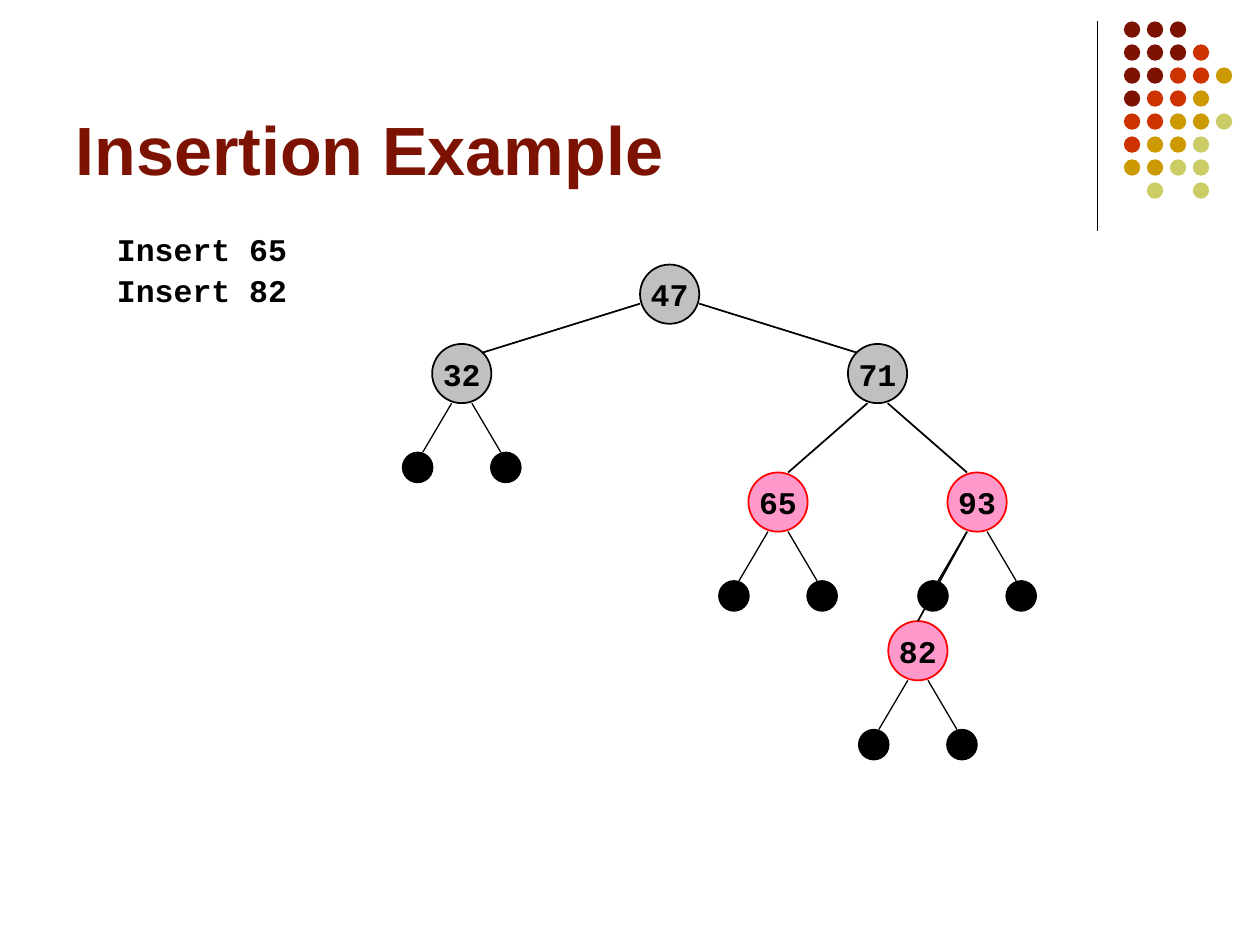
from pptx import Presentation
from pptx.dml.color import RGBColor as RGB
from pptx.enum.shapes import MSO_CONNECTOR as LINK, MSO_SHAPE as SHAPE
from pptx.enum.text import MSO_ANCHOR as ANCHOR, PP_ALIGN as ALIGN
from pptx.util import Inches, Pt
from lxml.etree import SubElement
from pptx.oxml.ns import qn

BLACK = RGB(0, 0, 0)
WHITE = RGB(255, 255, 255)
GRAY = RGB(0xC0, 0xC0, 0xC0)
PINK = RGB(0xFF, 0x99, 0xCC)
RED = RGB(0xFF, 0, 0)
MAROON = RGB(0x7C, 0x13, 0x02)
RUST = RGB(0xCC, 0x33, 0)
GOLD = RGB(0xCC, 0x99, 0)
LIME = RGB(0xCC, 0xCC, 0x66)

TITLE = "Insertion Example"
STEPS = ["Insert 65", "Insert 82"]
DOTS = ["MMM", "MMMR", "MMRRG", "MRRG", "RRGGL", "RGGL", "GGLL", " L L"]
HUES = {"M": MAROON, "R": RUST, "G": GOLD, "L": LIME}
NODES = {
    "47": (5.08, 2.1, GRAY, BLACK),
    "71": (6.73, 2.73, GRAY, BLACK),
    "32": (3.43, 2.73, GRAY, BLACK),
    "65": (5.94, 3.75, PINK, RED),
    "93": (7.52, 3.75, PINK, RED),
    "82": (7.05, 4.93, PINK, RED),
}
ROOT = "47"
KIDS = [("32", -1), ("71", 1)]
FORKS = [("71", "65", -1), ("71", "93", 1)]
BASES = ["32", "65", "82", "93"]

SIZE = 0.47
HALF = SIZE / 2
LEAF = 0.24
STEP = 0.08
DROP = 0.39
REACH = 0.31
SPREAD = 0.35
DOT = 0.13
PITCH = 0.73 / 4

deck = Presentation()
deck.slide_width, deck.slide_height = Inches(10), Inches(7.5)
slide = deck.slides.add_slide(deck.slide_layouts[5])
slide.background.fill.solid()
slide.background.fill.fore_color.rgb = WHITE


def write(para, text, font, size, color):
    run = para.add_run()
    run.text = text
    run.font.name = font
    run.font.size = Pt(size)
    run.font.bold = True
    run.font.color.rgb = color


def circle(x, y, size, fill, line=None, width=1):
    disc = slide.shapes.add_shape(SHAPE.OVAL, *map(Inches, (x, y, size, size)))
    disc.shadow.inherit = False
    disc.fill.solid()
    disc.fill.fore_color.rgb = fill
    if line is None:
        disc.line.fill.background()
    else:
        disc.line.color.rgb = line
        disc.line.width = Pt(width)
    return disc


def edge(x1, y1, x2, y2, width=1):
    line = slide.shapes.add_connector(LINK.STRAIGHT, *map(Inches, (x1, y1, x2, y2)))
    line.line.color.rgb = BLACK
    line.line.width = Pt(width)
    SubElement(line._element.spPr, qn("a:effectLst"))
    return line


def node(text, x, y, fill, line):
    disc = circle(x, y, SIZE, fill, line)
    frame = disc.text_frame
    frame.word_wrap = False
    frame.vertical_anchor = ANCHOR.MIDDLE
    frame.margin_left = frame.margin_right = Inches(0.02)
    frame.margin_top = frame.margin_bottom = 0
    para = frame.paragraphs[0]
    para.alignment = ALIGN.CENTER
    write(para, text, "Courier New", 18, BLACK)
    return disc


def middle(name):
    x, y = NODES[name][:2]
    return x + HALF, y


edge(8.71, 0.17, 8.71, 1.83, 0.75)
for row, marks in enumerate(DOTS):
    for col, mark in enumerate(marks):
        if mark in HUES:
            circle(8.92 + col * PITCH, 0.17 + row * PITCH, DOT, HUES[mark])

title = slide.shapes.title
title.left, title.top, title.width, title.height = map(Inches, (0.5, 0.13, 8.25, 1.42))
title.text_frame.vertical_anchor = ANCHOR.BOTTOM
title.text_frame.paragraphs[0].alignment = ALIGN.LEFT
write(title.text_frame.paragraphs[0], TITLE, "Arial", 39, MAROON)

for i, text in enumerate(STEPS):
    box = slide.shapes.add_textbox(*map(Inches, (0.83, 1.78 + i * 0.32, 2.6, 0.4)))
    box.text_frame.word_wrap = True
    write(box.text_frame.paragraphs[0], text, "Courier New", 18, BLACK)

discs = {name: node(name, *spec) for name, spec in NODES.items()}

x, y = middle(ROOT)
for kid, side in KIDS:
    kx, ky = middle(kid)
    edge(x + side * HALF, y + 0.31, kx - side * 0.16, ky + 0.07)

for top, kid, side in FORKS:
    x, y = middle(top)
    kx, ky = middle(kid)
    edge(x + side * STEP, y + SIZE, kx - side * STEP, ky)

x, y = middle("93")
kx, ky = middle("82")
link = edge(kx, ky, x - STEP, y + SIZE)
link.begin_connect(discs["82"], 0)

for base in BASES:
    x, y = middle(base)
    y += SIZE
    for side in (-1, 1):
        edge(x + side * STEP, y, x + side * REACH, y + DROP, 0.75)
        circle(x + side * SPREAD - LEAF / 2, y + DROP, LEAF, BLACK, BLACK, 0.75)

deck.save("out.pptx")
